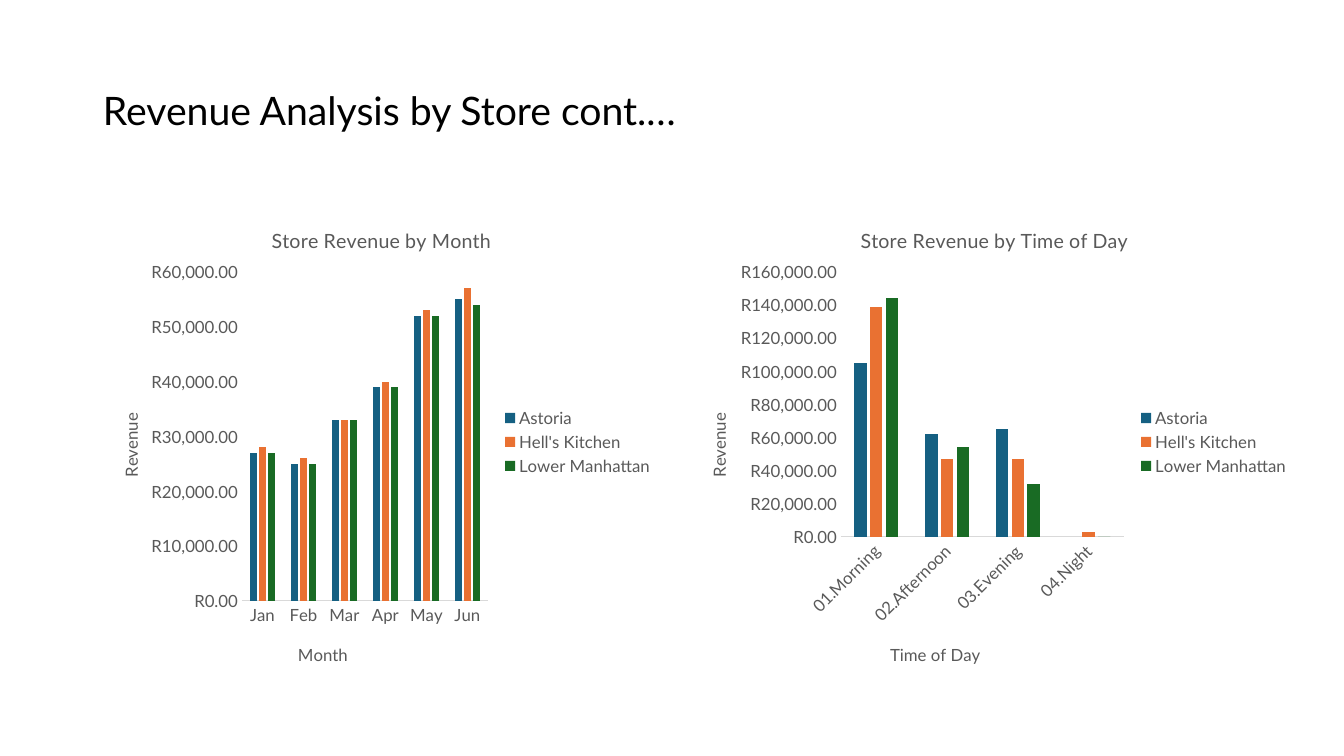
"""Build the slide that compares store revenue by month and by time of day."""
import pptx
import pptx.util
import pptx.chart.data
import pptx.dml.color
import pptx.enum.chart
import pptx.enum.text
import pptx.oxml

PX = 914400 / 100.8
FONT = "Lato"
GREY = "595959"
STORES = {"Astoria": "156082", "Hell's Kitchen": "E97132", "Lower Manhattan": "196B24"}
MONEY = "[$R-1C09]#,##0.00;[Red][$R-1C09]#,##0.00"
NS = "http://schemas.openxmlformats.org/drawingml/2006/chart"

CHARTS = [
    {
        "box": (93, 202, 571, 480),
        "plot": (242, 272, 246, 329),
        "title": ("Store Revenue by Month", 268, 223),
        "base": ("Month", 295, 640),
        "side": ("Revenue", 116, 410),
        "cats": ["Jan", "Feb", "Mar", "Apr", "May", "Jun"],
        "rows": [
            [27000, 25000, 33000, 39000, 52000, 55000],
            [28000, 26000, 33000, 40000, 53000, 57000],
            [27000, 25000, 33000, 39000, 52000, 54000],
        ],
        "top": 60000,
        "step": 10000,
        "turn": 0,
    },
    {
        "box": (680, 202, 620, 480),
        "plot": (841, 272, 283, 265),
        "title": ("Store Revenue by Time of Day", 857, 223),
        "base": ("Time of Day", 887, 640),
        "side": ("Revenue", 704, 410),
        "cats": ["01.Morning", "02.Afternoon", "03.Evening", "04.Night"],
        "rows": [
            [105000, 62000, 65000, None],
            [139000, 47000, 47000, 3000],
            [144000, 54000, 32000, 0],
        ],
        "top": 160000,
        "step": 20000,
        "turn": -45,
    },
]


def style(font, size, tint):
    font.color.rgb = pptx.dml.color.RGBColor.from_string(tint)
    form = {"name": FONT, "size": pptx.util.Pt(size), "bold": False}
    for key, val in form.items():
        setattr(font, key, val)


def place(node, spot, box, index):
    for old in node.findall(f"{{{NS}}}layout"):
        node.remove(old)
    parts = {"xMode": "edge", "yMode": "edge"}
    if len(spot) == 4:
        parts = {"layoutTarget": "inner", **parts}
    parts["x"] = round((spot[0] - box[0]) / box[2], 4)
    parts["y"] = round((spot[1] - box[1]) / box[3], 4)
    if len(spot) == 4:
        parts["w"] = round(spot[2] / box[2], 4)
        parts["h"] = round(spot[3] / box[3], 4)
    inner = "".join(f'<c:{key} val="{val}"/>' for key, val in parts.items())
    xml = f'<c:layout xmlns:c="{NS}"><c:manualLayout>{inner}</c:manualLayout></c:layout>'
    node.insert(index, pptx.oxml.parse_xml(xml))


deck = pptx.Presentation()
deck.slide_width = int(1344 * PX)
deck.slide_height = int(756 * PX)
slide = deck.slides.add_slide(deck.slide_layouts[6])

head = slide.shapes.add_textbox(*[int(n * PX) for n in (93, 40, 1159, 146)]).text_frame
head.word_wrap = True
head.vertical_anchor = pptx.enum.text.MSO_ANCHOR.MIDDLE
line = head.paragraphs[0]
line.text = "Revenue Analysis by Store cont.…"
line.line_spacing = 0.9
style(line.runs[0].font, 28, "000000")

for item in CHARTS:
    box = item["box"]
    data = pptx.chart.data.CategoryChartData(number_format=MONEY)
    data.categories = item["cats"]
    for name, row in zip(STORES, item["rows"]):
        data.add_series(name, row)
    kind = pptx.enum.chart.XL_CHART_TYPE.COLUMN_CLUSTERED
    chart = slide.shapes.add_chart(kind, *[int(n * PX) for n in box], data).chart
    style(chart.font, 12, "000000")

    bars = chart.plots[0]
    form = {"gap_width": 219, "overlap": -27, "vary_by_categories": False}
    for key, val in form.items():
        setattr(bars, key, val)
    for store, tint in zip(bars.series, STORES.values()):
        store.invert_if_negative = False
        store.format.fill.solid()
        store.format.fill.fore_color.rgb = pptx.dml.color.RGBColor.from_string(tint)

    chart.has_legend = True
    chart.legend.position = pptx.enum.chart.XL_LEGEND_POSITION.RIGHT
    chart.legend.include_in_layout = False
    style(chart.legend.font, 12, GREY)

    base, side = chart.category_axis, chart.value_axis
    for axis in (base, side):
        axis.has_major_gridlines = False
        axis.major_tick_mark = pptx.enum.chart.XL_TICK_MARK.NONE
        style(axis.tick_labels.font, 12, GREY)
    base.format.line.width = pptx.util.Pt(0.75)
    base.format.line.color.rgb = pptx.dml.color.RGBColor.from_string("D9D9D9")
    side.format.line.fill.background()
    form = {"minimum_scale": 0, "maximum_scale": item["top"], "major_unit": item["step"]}
    for key, val in form.items():
        setattr(side, key, val)
    side.tick_labels.number_format = MONEY
    side.tick_labels.number_format_is_linked = False
    if item["turn"]:
        body = base._element.txPr.find(pptx.oxml.ns.qn("a:bodyPr"))
        body.set("rot", str(item["turn"] * 60000))

    labels = [
        (chart.chart_title, "title", 14),
        (base.axis_title, "base", 12),
        (side.axis_title, "side", 12),
    ]
    for label, key, size in labels:
        text, *spot = item[key]
        label.text_frame.text = text
        style(label.text_frame.paragraphs[0].runs[0].font, size, GREY)
        place(label._element, spot, box, 1)
    turn = side.axis_title.text_frame._txBody.find(pptx.oxml.ns.qn("a:bodyPr"))
    turn.set("rot", "-5400000")
    turn.set("vert", "horz")
    place(chart._chartSpace.chart.plotArea, item["plot"], box, 0)

deck.save("out.pptx")
